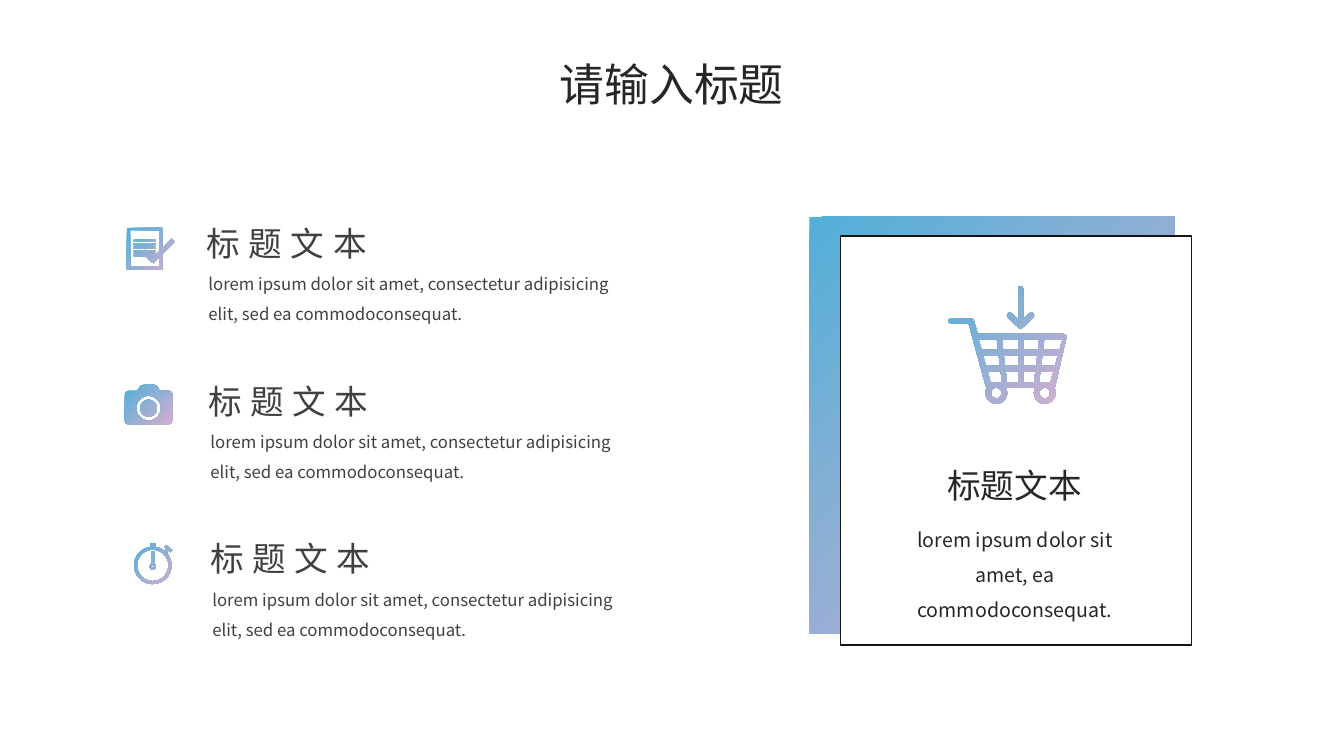
import dataclasses
import math

import lxml.etree
import pptx
import pptx.dml.color
import pptx.enum.shapes
import pptx.enum.text
import pptx.oxml.ns
import pptx.util

Pt = pptx.util.Pt
LEFT = pptx.enum.text.PP_ALIGN.LEFT
CENTER = pptx.enum.text.PP_ALIGN.CENTER


@dataclasses.dataclass(frozen=True)
class Theme:
    font: str = "Noto Sans CJK SC"
    grey: str = "404040"
    dark: str = "262626"
    white: str = "FFFFFF"
    border: str = "151515"
    gradient: tuple = ("52AFD8", "D6AED0")
    title_size: int = 32
    heading_size: int = 24
    card_size: int = 14
    body_size: int = 12


def color(value):
    return pptx.dml.color.RGBColor.from_string(value)


# Outline helpers, in points
def arc(x, y, radius, start, end, steps=48):
    angles = [math.radians(start + (end - start) * i / steps) for i in range(steps + 1)]
    return [(x + radius * math.cos(a), y + radius * math.sin(a)) for a in angles]


def circle(x, y, radius):
    return arc(x, y, radius, 0, 360)


def rectangle(x, y, width, height):
    return [(x, y), (x + width, y), (x + width, y + height), (x, y + height)]


def mirror(points, axis):
    return [(2 * axis - x, y) for x, y in reversed(points)]


# Icons: each is a list of outlines, nested ones cut holes
def note_icon():
    sheet = [(0, 0), (25.2, 0), (25.2, 15.1), (31.7, 7.9), (33.8, 10.1),
             (25.2, 18.7), (25.2, 29.5), (0, 29.5)]
    inside = [(2.2, 1.6), (2.2, 27.4), (23, 27.4), (23, 20.9), (18.7, 25.2),
              (13, 20.2), (5, 20.2), (5, 18.7), (12.2, 18.7), (10.8, 17.3),
              (5, 17.3), (5, 16.4), (12.2, 16.4), (13, 15.8), (13.7, 16.4),
              (20.2, 16.4), (20.2, 17.3), (14.4, 17.3), (15.8, 18.7),
              (20.2, 18.7), (20.2, 19.4), (23, 16.6), (23, 1.6)]
    gap = [(17.3, 20.2), (18.7, 21.6), (20.2, 20.2)]
    lines = [rectangle(5, y, 15.2, 1.3) for y in (8.5, 11, 13.6)]
    return [sheet, inside, gap, *lines]


def camera_icon():
    body = [(2.2, 4.3), (8.6, 4.3), (10.1, 2.2), (11.2, 0.6), (13, 0),
            (20.9, 0), (22.6, 0.6), (23.8, 2.2), (25.2, 4.3), (31.7, 4.3),
            (33.1, 5), (33.8, 6.5), (33.8, 25.9), (33.1, 27.4), (31.7, 28.1),
            (2.2, 28.1), (0.7, 27.4), (0, 25.9), (0, 6.5), (0.7, 5)]
    return [body, circle(16.9, 16.6, 8.8), circle(16.9, 16.6, 6)]


def stopwatch_icon():
    x, y = 13.3, 15.8
    case = [(11.5, 0), (15.1, 0), *arc(x, y, 13.3, -82, -50),
            (23, 4.3), (21.6, 2.9), (23, 1.4), (27.4, 5), (25.9, 6.5),
            (24.5, 5), *arc(x, y, 13.3, -40, 262)]
    hand = [(12.2, 5.8), (14.4, 5.8), *arc(x, 16.6, 2.2, -65, 245)]
    return [case, circle(x, y, 11.2), hand, circle(x, 16.6, 0.7)]


def cart_icon():
    axis, wheel_y, wheels = 51.5, 76.3, (68.8, 34.2)
    frame = [(1.4, 23), (16.6, 23), (18, 23.8), (20.9, 33.8), (82.1, 33.8),
             (84.2, 35.3), (84.2, 36.7), (76.3, 71.3)]
    for x in wheels:
        frame += arc(x, wheel_y, 7.7, -30, 210)
    frame += [(26.6, 71.3), (14.4, 26.6), (1.4, 26.6), (0, 25.7), (0, 24)]
    # Basket holes lean towards the axis
    holes = []
    for left, left_lean, right, right_lean in ((21.6, 0.28, 34.6, 0.12),
                                               (38.2, 0.12, 49.7, 0)):
        for row in range(3):
            top, bottom = 11.5 * row, 11.5 * row + 7.2
            hole = [(left + left_lean * top, 38.2 + top),
                    (right + right_lean * top, 38.2 + top),
                    (right + right_lean * bottom, 38.2 + bottom),
                    (left + left_lean * bottom, 38.2 + bottom)]
            holes += [hole, mirror(hole, axis)]
    half = [(52.6, 0), (53.3, 1.4), (53.3, 23.8), (57.6, 19.4), (59, 18.7),
            (60.8, 19.3), (61.2, 20.9), (60.5, 22.3), (52.6, 29.9)]
    arrow = half + mirror(half, axis)
    return [frame, *holes, *[circle(x, wheel_y, 3.8) for x in wheels], arrow]


class SlideBuilder:
    def __init__(self, slide, theme):
        self.slide, self.theme = slide, theme

    def paint(self, shape, fill=None, border=None):
        shape.shadow.inherit = False
        if fill:
            shape.fill.solid()
            shape.fill.fore_color.rgb = color(fill)
        else:
            shape.fill.gradient()
            shape.fill.gradient_angle = 315
            for stop, value in zip(shape.fill.gradient_stops, self.theme.gradient):
                stop.color.rgb = color(value)
        if border:
            shape.line.color.rgb = color(border)
            shape.line.width = Pt(1)
        else:
            shape.line.fill.background()

    def panel(self, left, top, width, height, fill=None, border=None):
        shape = self.slide.shapes.add_shape(
            pptx.enum.shapes.MSO_SHAPE.RECTANGLE,
            Pt(left), Pt(top), Pt(width), Pt(height))
        self.paint(shape, fill, border)

    def icon(self, left, top, outlines):
        builder = None
        for outline in outlines:
            start, *rest = [(Pt(left + x), Pt(top + y)) for x, y in outline]
            if builder is None:
                builder = self.slide.shapes.build_freeform(*start)
            else:
                builder.move_to(*start)
            builder.add_line_segments(rest, close=True)
        self.paint(builder.convert_to_shape())

    def text(self, left, top, width, height, words, size, ink,
             align=LEFT, line_spacing=None, tracking=0):
        box = self.slide.shapes.add_textbox(Pt(left), Pt(top), Pt(width), Pt(height))
        box.text_frame.word_wrap = True
        box.text_frame.auto_size = pptx.enum.text.MSO_AUTO_SIZE.SHAPE_TO_FIT_TEXT
        para = box.text_frame.paragraphs[0]
        for name, value in {"alignment": align, "line_spacing": line_spacing}.items():
            setattr(para, name, value)
        span = para.add_run()
        span.text = words
        for name, value in {"size": Pt(size), "name": self.theme.font}.items():
            setattr(span.font, name, value)
        span.font.color.rgb = color(ink)
        # East Asian font and letter spacing
        properties = span._r.get_or_add_rPr()
        lxml.etree.SubElement(properties, pptx.oxml.ns.qn("a:ea"),
                              typeface=self.theme.font)
        if tracking:
            properties.set("spc", str(tracking * 100))


def main():
    deck = pptx.Presentation()
    deck.slide_width, deck.slide_height = Pt(960), Pt(540)
    theme = Theme()
    page = SlideBuilder(deck.slides.add_slide(deck.slide_layouts[6]), theme)

    # Page title
    page.text(302.4, 36.7, 355, 46, "请输入标题", theme.title_size, theme.dark, CENTER)

    # Feature list
    features = ((90.7, 162.7, note_icon()), (89.3, 275, camera_icon()),
                (95.8, 388.1, stopwatch_icon()))
    for row, (icon_left, icon_top, outlines) in enumerate(features):
        left, top = 141.8 + 1.4 * row, 155.5 + 112.7 * row
        page.icon(icon_left, icon_top, outlines)
        page.text(left - 1, top, 175, 36, "标题文本",
                  theme.heading_size, theme.grey, tracking=6)
        page.text(left, top + 29.3, 324, 49,
                  "lorem ipsum dolor sit amet, consectetur adipisicing elit, "
                  "sed ea commodoconsequat.",
                  theme.body_size, theme.grey, line_spacing=1.5)

    # Card with cart
    page.panel(578.2, 154.8, 260.6, 297.4)
    page.panel(600.5, 168.5, 250.6, 292.3, theme.white, theme.border)
    page.icon(677.5, 204.5, cart_icon())
    page.text(649.4, 328.3, 150.5, 36, "标题文本",
              theme.heading_size, theme.dark, CENTER)
    page.text(632.9, 365, 184.3, 55.4,
              "lorem ipsum dolor sit amet, ea commodoconsequat.",
              theme.card_size, theme.dark, CENTER, 1.5)

    deck.save("out.pptx")


if __name__ == "__main__":
    main()
